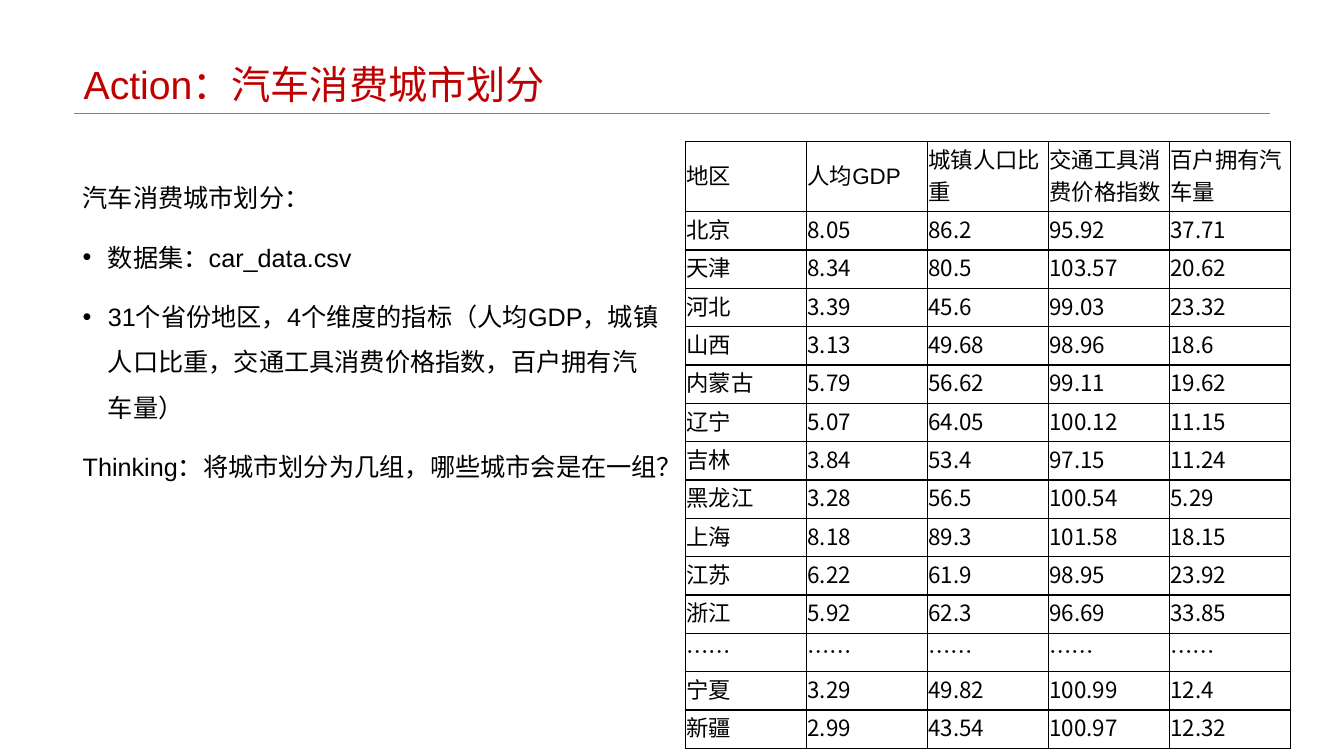
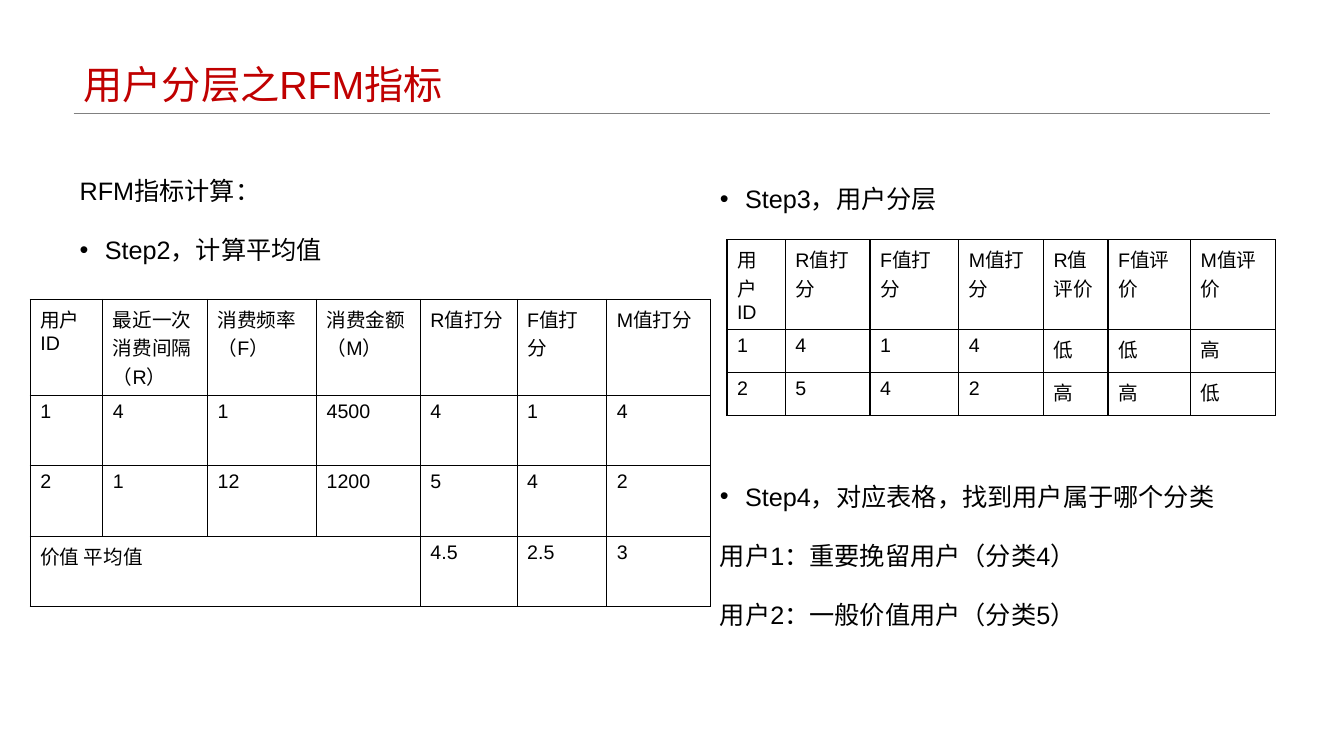
from lxml import etree
from pptx import Presentation
from pptx.dml.color import RGBColor
from pptx.enum import shapes, text
from pptx.oxml import ns
from pptx.util import Inches, Pt

RED = RGBColor(0xC0, 0x00, 0x00)
BLACK = RGBColor(0x00, 0x00, 0x00)
GRAY = RGBColor(0x80, 0x80, 0x80)
LATIN = "Arial"
CJK = "Noto Sans CJK SC"


class Deck:
    title_size, body_size = 28, 18
    left, width, rule_y = 0.73, 11.87, 1.12

    def __init__(self):
        self.prs = Presentation()
        self.prs.slide_width = Inches(13.33)
        self.prs.slide_height = Inches(7.5)
        self.s = None

    def slide(self, title, layout):
        self.s = self.prs.slides.add_slide(self.prs.slide_layouts[layout])
        self.rule()
        tf = self.place(self.s.shapes.title, self.left, 0, self.width, self.rule_y)
        tf.vertical_anchor = text.MSO_ANCHOR.BOTTOM
        p = tf.paragraphs[0]
        p.alignment = text.PP_ALIGN.LEFT
        p.line_spacing = 0.9
        self.run(p, title, self.title_size, RED)

    def rule(self):
        y = Inches(self.rule_y)
        line = self.s.shapes.add_connector(
            shapes.MSO_CONNECTOR.STRAIGHT,
            Inches(self.left), y, Inches(self.left + self.width), y)
        line.line.color.rgb = GRAY
        line.line.width = Pt(0.25)
        etree.SubElement(line._element.spPr, ns.qn("a:effectLst"))

    def place(self, sp, x, y, w, h):
        sp.left, sp.top, sp.width, sp.height = map(Inches, (x, y, w, h))
        tf = sp.text_frame
        tf.word_wrap = True
        tf.auto_size = text.MSO_AUTO_SIZE.NONE
        return tf

    def run(self, p, words, size, color=BLACK, font=LATIN):
        r = p.add_run()
        r.text = words
        r.font.size = Pt(size)
        r.font.color.rgb = color
        r.font.name = font
        etree.SubElement(r.font._element, ns.qn("a:ea"), typeface=CJK)

    def body(self, idx, box, items, inset=0.1):
        tf = self.place(self.s.placeholders[idx], *box)
        tf.vertical_anchor = text.MSO_ANCHOR.TOP
        tf.margin_left = tf.margin_right = Inches(inset)
        tf.margin_top = tf.margin_bottom = Inches(0.05)
        for i, (words, bullet, before) in enumerate(items):
            p = tf.add_paragraph() if i else tf.paragraphs[0]
            p.line_spacing = 1.5
            p.space_before = Pt(before)
            indent = Inches(0.25) if bullet else 0
            pPr = p._p.get_or_add_pPr()
            pPr.set("marL", str(indent))
            pPr.set("indent", str(-indent))
            if bullet:
                etree.SubElement(pPr, ns.qn("a:buChar"), char="•")
            else:
                etree.SubElement(pPr, ns.qn("a:buNone"))
            self.run(p, words, self.body_size)

    def borders(self, cell):
        tcPr = cell._tc.get_or_add_tcPr()
        for side in ("lnL", "lnR", "lnT", "lnB"):
            ln = etree.SubElement(tcPr, ns.qn("a:" + side), w=str(Pt(1)))
            fill = etree.SubElement(ln, ns.qn("a:solidFill"))
            etree.SubElement(fill, ns.qn("a:srgbClr"), val=str(BLACK))

    def table(self, x, y, cols, heights, rows, size, figures=LATIN,
              margins=None, anchor=text.MSO_ANCHOR.TOP, merge=None):
        frame = self.s.shapes.add_table(
            len(rows), len(cols), Inches(x), Inches(y),
            Inches(sum(cols)), Inches(sum(heights)))
        tbl = frame.table
        tbl.first_row = tbl.horz_banding = False
        for col, w in zip(tbl.columns, cols):
            col.width = Inches(w)
        for row, h in zip(tbl.rows, heights):
            row.height = Inches(h)
        if merge:
            start, end = merge
            tbl.cell(*start).merge(tbl.cell(*end))
        for row, values in zip(tbl.rows, rows):
            for cell, words in zip(row.cells, values):
                self.borders(cell)
                cell.fill.background()
                cell.vertical_anchor = anchor
                if margins:
                    (cell.margin_left, cell.margin_top, cell.margin_right,
                     cell.margin_bottom) = map(Inches, margins)
                if words:
                    font = figures if words[0] in "0123456789…" else LATIN
                    self.run(cell.text_frame.paragraphs[0], words, size, font=font)


REGIONS = [
    ("地区", "人均GDP", "城镇人口比重", "交通工具消费价格指数", "百户拥有汽车量"),
    ("北京", "8.05", "86.2", "95.92", "37.71"),
    ("天津", "8.34", "80.5", "103.57", "20.62"),
    ("河北", "3.39", "45.6", "99.03", "23.32"),
    ("山西", "3.13", "49.68", "98.96", "18.6"),
    ("内蒙古", "5.79", "56.62", "99.11", "19.62"),
    ("辽宁", "5.07", "64.05", "100.12", "11.15"),
    ("吉林", "3.84", "53.4", "97.15", "11.24"),
    ("黑龙江", "3.28", "56.5", "100.54", "5.29"),
    ("上海", "8.18", "89.3", "101.58", "18.15"),
    ("江苏", "6.22", "61.9", "98.95", "23.92"),
    ("浙江", "5.92", "62.3", "96.69", "33.85"),
    ("……",) * 5,
    ("宁夏", "3.29", "49.82", "100.99", "12.4"),
    ("新疆", "2.99", "43.54", "100.97", "12.32"),
]

SCORES = ("R值打分", "F值打分", "M值打分")

RATINGS = [
    ("用户ID", *SCORES, "R值评价", "F值评价", "M值评价"),
    ("1", "4", "1", "4", "低", "低", "高"),
    ("2", "5", "4", "2", "高", "高", "低"),
]

AVERAGES = [
    ("用户ID", "最近一次消费间隔（R）", "消费频率（F）", "消费金额（M）", *SCORES),
    ("1", "4", "1", "4500", "4", "1", "4"),
    ("2", "1", "12", "1200", "5", "4", "2"),
    ("价值 平均值", "", "", "", "4.5", "2.5", "3"),
]


def city_slide(deck):
    deck.slide("Action：汽车消费城市划分", 1)
    deck.body(1, (0.72, 1.61, 5.92, 4.83), [
        ("汽车消费城市划分：", False, 10),
        ("数据集：car_data.csv", True, 10),
        ("31个省份地区，4个维度的指标（人均GDP，城镇人口比重，"
         "交通工具消费价格指数，百户拥有汽车量）", True, 10),
        ("Thinking：将城市划分为几组，哪些城市会是在一组？", False, 10),
    ])
    deck.table(6.8, 1.4, [1.2] * 5, [0.63] + [0.36] * 14, REGIONS, 16, figures=CJK,
               margins=(0.01, 0.01, 0.01, 0.05), anchor=text.MSO_ANCHOR.MIDDLE)


def rfm_slide(deck):
    deck.slide("用户分层之RFM指标", 3)
    deck.body(1, (0.74, 1.54, 6.24, 4.6), [
        ("RFM指标计算：", False, 10),
        ("Step2，计算平均值", True, 10),
    ], inset=0.05)
    deck.body(2, (7.09, 1.62, 6.24, 4.6), [
        ("Step3，用户分层", True, 10),
        ("Step4，对应表格，找到用户属于哪个分类", True, 180),
        ("用户1：重要挽留用户（分类4）", False, 10),
        ("用户2：一般价值用户（分类5）", False, 10),
    ], inset=0.05)
    deck.table(7.21, 2.38, [0.58, 0.84, 0.88, 0.84, 0.64, 0.82, 0.84],
               [0.81, 0.43, 0.43], RATINGS, 14)
    deck.table(0.3, 2.97, [0.72, 1.04, 1.08, 1.03, 0.96, 0.89, 1.03],
               [0.82] + [0.7] * 3, AVERAGES, 14, merge=((3, 0), (3, 3)))


def main():
    deck = Deck()
    city_slide(deck)
    rfm_slide(deck)
    deck.prs.save("out.pptx")


if __name__ == "__main__":
    main()
